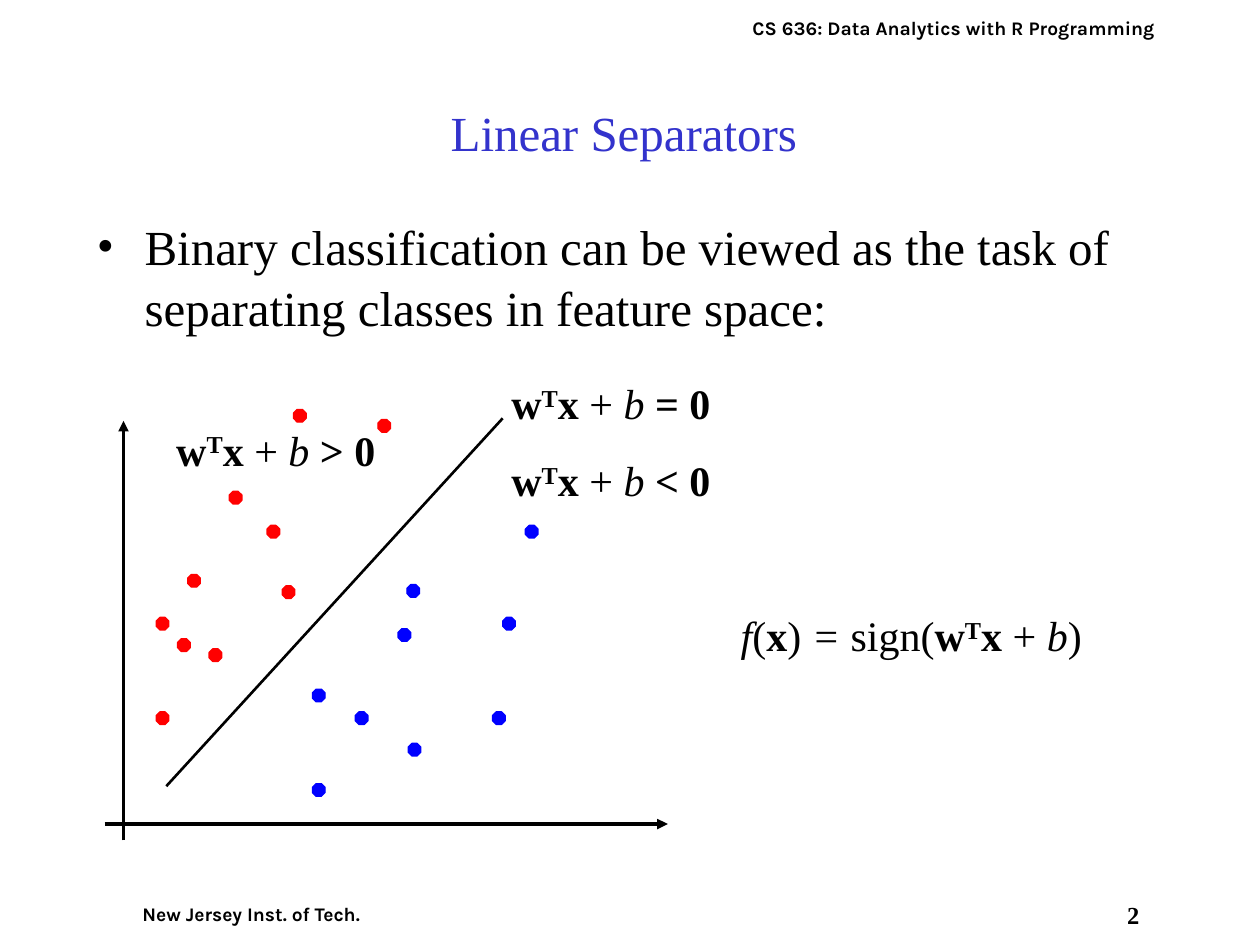
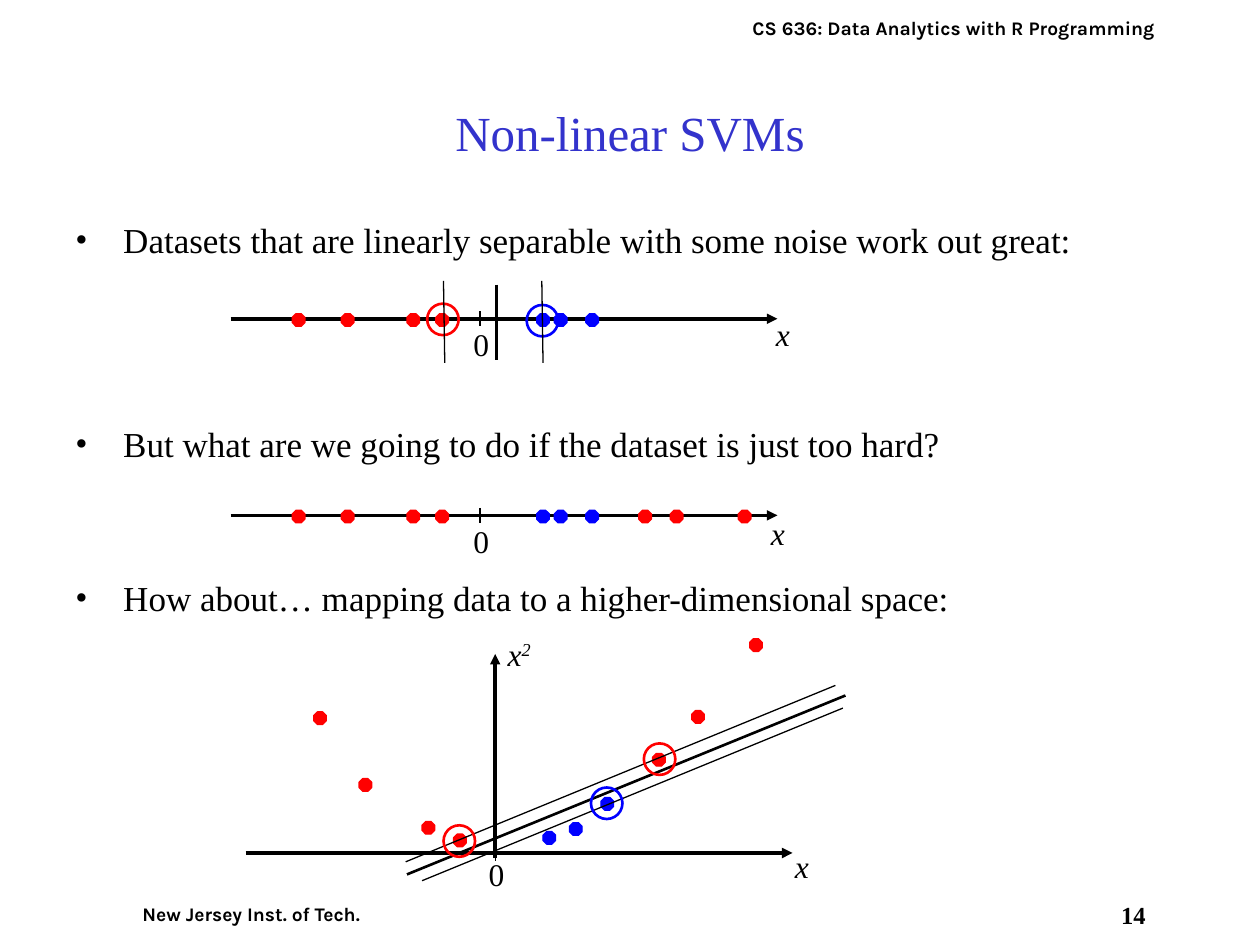
from dataclasses import dataclass
from typing import Any

from lxml import etree
from pptx import Presentation
from pptx import util as u
from pptx.dml import color
from pptx.enum import shapes, text
from pptx.oxml import ns

# Shared look
BLACK, WHITE, RED, BLUE, TITLE_BLUE = "000000", "FFFFFF", "FF0000", "0000FF", "3333CC"
SERIF, SANS = "Times New Roman", "Karla"
THIN, MEDIUM, THICK = 0.75, 1.5, 2
DOT, RING = 0.1, 0.25
INDENT = 0.38
LINEAR_FORM = [("w", "b"), ("T", "b^"), ("x ", "b"), ("+ ", ""), ("b", "i")]


def rgb(hex_code):
    return color.RGBColor.from_string(hex_code)


def add_xml(parent, tag, **attributes):
    return etree.SubElement(parent, ns.qn(tag), attributes)


def set_all(target, values):
    for name, value in values.items():
        setattr(target, name, value)


def set_font(font, size, face=SERIF, ink=BLACK, **more):
    set_all(font, {"size": u.Pt(size), "name": face, **more})
    font.color.rgb = rgb(ink)


def set_outline(line, ink, weight):
    line.color.rgb = rgb(ink)
    line.width = u.Pt(weight)


@dataclass
class Region:
    """Places parts at offsets, in inches, from its left top corner."""
    slide: Any
    left: float
    top: float

    def at(self, x, y):
        return u.Inches(self.left + x), u.Inches(self.top + y)

    def marker(self, preset, x, y, size, ink, weight, filled):
        mark = self.slide.shapes.add_shape(
            preset, *self.at(x, y), u.Inches(size), u.Inches(size))
        mark.shadow.inherit = False
        if filled:
            mark.fill.solid()
            mark.fill.fore_color.rgb = rgb(ink)
        else:
            mark.fill.background()
        set_outline(mark.line, ink, weight)

    def dots(self, ink, places):
        for x, y in places:
            self.marker(shapes.MSO_SHAPE.OCTAGON, x, y, DOT, ink, THIN, True)

    def ring(self, ink, x, y):
        self.marker(shapes.MSO_SHAPE.OVAL, x, y, RING, ink, MEDIUM, False)

    def line(self, start, end, weight, arrow=False):
        stroke = self.slide.shapes.add_connector(
            shapes.MSO_CONNECTOR.STRAIGHT, *self.at(*start), *self.at(*end))
        set_outline(stroke.line, BLACK, weight)
        if arrow:
            add_xml(stroke.line._get_or_add_ln(), "a:tailEnd", type="triangle")
        add_xml(stroke._element.spPr, "a:effectLst")

    def box(self, x, y, width, height, **frame_format):
        holder = self.slide.shapes.add_textbox(
            *self.at(x, y), u.Inches(width), u.Inches(height))
        set_all(holder.text_frame, {"word_wrap": True, **frame_format})
        return holder

    def label(self, runs, x, y, width, height=0.4, size=18):
        """Each run is (words, style): b bold, i italic, ^ superscript."""
        paragraph = self.box(x, y, width, height).text_frame.paragraphs[0]
        for words, style in runs:
            run = paragraph.add_run()
            run.text = words
            set_font(run.font, size, bold="b" in style, italic="i" in style)
            if "^" in style:
                run.font._element.set("baseline", "30000")


# Parts on every slide
def add_band(slide, words, left, top, width, height, inset, size, face):
    band = Region(slide, left, top).box(
        0, 0, width, height,
        **{f"margin_{side}": u.Inches(inset) for side in ("left", "right", "top", "bottom")})
    band.fill.solid()
    band.fill.fore_color.rgb = rgb(WHITE)
    paragraph = band.text_frame.paragraphs[0]
    paragraph.text = words
    paragraph.alignment = text.PP_ALIGN.CENTER
    set_font(paragraph.font, size, face, bold=True)


def start_slide(deck, heading, number):
    slide = deck.slides.add_slide(deck.slide_layouts[5])
    add_band(slide, number, 8.83, 7.14, 0.33, 0.36, 0, 14, SERIF)
    add_band(slide, "New Jersey Inst. of Tech.", 0.83, 7.11, 2.33, 0.29, 0.05, 11, SANS)
    add_band(slide, "CS 636: Data Analytics with R Programming",
             5.78, 0.08, 3.58, 0.29, 0.05, 11, SANS)
    title = slide.shapes.title
    set_all(title, {"left": u.Inches(0.75), "top": u.Inches(0.42),
                    "width": u.Inches(8.5), "height": u.Inches(1.25)})
    title.text_frame.text = heading
    set_all(title.text_frame, {"vertical_anchor": text.MSO_ANCHOR.MIDDLE,
                               "auto_size": text.MSO_AUTO_SIZE.NONE})
    paragraph = title.text_frame.paragraphs[0]
    paragraph.alignment = text.PP_ALIGN.CENTER
    set_font(paragraph.font, 28, ink=TITLE_BLUE)
    return slide


def add_bullets(slide, left, top, size, items):
    """Each item is (words, points of space before)."""
    frame = Region(slide, left, top).box(0, 0, 9, 5.5).text_frame
    for index, (words, gap) in enumerate(items):
        paragraph = frame.add_paragraph() if index else frame.paragraphs[0]
        paragraph.text = words
        props = paragraph._p.get_or_add_pPr()
        props.set("marL", str(u.Inches(INDENT)))
        props.set("indent", str(-u.Inches(INDENT)))
        add_xml(add_xml(props, "a:buClr"), "a:srgbClr", val=BLACK)
        add_xml(props, "a:buFont", typeface=SERIF)
        add_xml(props, "a:buChar", char="•")
        paragraph.line_spacing = 1.045
        if gap:
            paragraph.space_before = u.Pt(gap)
        set_font(paragraph.font, size)


# Linear separators
def add_separator_plot(slide, left, top):
    plot = Region(slide, left, top)
    plot.line((0.15, 3.42), (0.15, 0.09), THICK, arrow=True)
    plot.line((0, 3.29), (4.47, 3.29), THICK, arrow=True)
    plot.dots(RED, [(1.29, 0.92), (0.66, 1.31), (0.83, 1.9), (0.41, 2.4), (0.99, 0.65),
                    (0.41, 1.65), (0.58, 1.82), (1.41, 1.4), (1.5, 0), (2.17, 0.08)])
    plot.dots(BLUE, [(2.4, 1.39), (1.99, 2.4), (3.08, 2.4), (1.65, 2.97), (2.33, 1.74),
                     (1.65, 2.22), (2.41, 2.65), (3.16, 1.65), (3.34, 0.92)])
    plot.line((0.49, 2.99), (3.16, 0.07), MEDIUM)
    for relation, x, y in [(" = 0", 3.13, -0.3), (" < 0", 3.13, 0.31), (" > 0", 0.47, 0.07)]:
        plot.label(LINEAR_FORM + [(relation, "b")], x, y, 2.92, 0.5, 24)


def add_decision_function(slide, left, top):
    runs = [("f", "i"), ("(", ""), ("x", "b"), (")", ""), (" = ", "i"), ("sign(", "")]
    Region(slide, left, top).label(runs + LINEAR_FORM + [(")", "")], 0, 0, 3.21, 0.5, 24)


def build_linear_separators(deck):
    slide = start_slide(deck, "Linear Separators ", "2")
    add_bullets(slide, 0.67, 1.65, 28, [
        ("Binary classification can be viewed as the task of separating classes "
         "in feature space:", 0)])
    add_separator_plot(slide, 0.83, 3.25)
    add_decision_function(slide, 5.78, 4.79)


# Non-linear SVMs
def add_x_axis(region, y, x_label, zero_drop=0):
    region.line((0, y), (4.34, y), THICK, arrow=True)
    region.line((1.98, y - 0.06), (1.98, y + 0.06), THIN)
    region.label([("0", "")], 1.83, y + zero_drop, 0.37)
    region.label([("x", "i")], x_label[0], y + x_label[1], 0.5)


def add_number_line(slide, left, top, x_label, far_reds=()):
    axis = Region(slide, left, top)
    add_x_axis(axis, 0, x_label)
    for ink, places in [(RED, (0.49, 0.88, 1.4, 1.63, *far_reds)),
                        (BLUE, (2.57, 2.82, 2.43))]:
        axis.dots(ink, [(x, -0.04) for x in places])
    return axis


def add_margins(axis):
    axis.line((2.11, -0.27), (2.11, 0.33), MEDIUM)
    axis.ring(BLUE, 2.35, -0.11)
    axis.ring(RED, 1.56, -0.12)
    for x in (1.69, 2.47):
        axis.line((x + 0.01, 0.35), (x, -0.3), THIN)


def add_mapped_plot(slide, left, top):
    plot = Region(slide, left, top)
    add_x_axis(plot, 1.77, (4.26, -0.1), -0.03)
    plot.line((1.98, 1.81), (1.98, 0.19), THICK, arrow=True)
    plot.label([("x", "i"), ("2", "i^")], 1.98, -0.01, 0.5)
    plot.dots(RED, [(0.54, 0.65), (0.9, 1.18), (1.4, 1.52), (1.65, 1.62),
                    (3.23, 0.98), (3.54, 0.64), (4, 0.07)])
    plot.dots(BLUE, [(2.57, 1.53), (2.82, 1.33), (2.36, 1.6)])
    for start, end, weight in [((1.28, 1.94), (4.76, 0.52), MEDIUM),
                               ((1.27, 1.84), (4.68, 0.44), THIN),
                               ((1.4, 1.99), (4.74, 0.62), THIN)]:
        plot.line(start, end, weight)
    for ink, x, y in [(RED, 3.16, 0.9), (BLUE, 2.74, 1.25), (RED, 1.57, 1.55)]:
        plot.ring(ink, x, y)


def build_nonlinear_svms(deck):
    slide = start_slide(deck, "Non-linear SVMs", "14")
    add_bullets(slide, 0.5, 1.67, 20, [
        ("Datasets that are linearly separable with some noise work out great:", 0),
        ("But what are we going to do if the dataset is just too hard?", 92),
        ("How about… mapping data to a higher-dimensional space:", 63)])
    add_margins(add_number_line(slide, 1.83, 2.53, (4.23, -0.08)))
    add_number_line(slide, 1.83, 4.09, (4.19, -0.06), far_reds=(3.24, 3.49, 4.03))
    add_mapped_plot(slide, 1.95, 5)


def main():
    deck = Presentation()
    set_all(deck, {"slide_width": u.Inches(10), "slide_height": u.Inches(7.5)})
    build_linear_separators(deck)
    build_nonlinear_svms(deck)
    deck.save("out.pptx")


if __name__ == "__main__":
    main()
